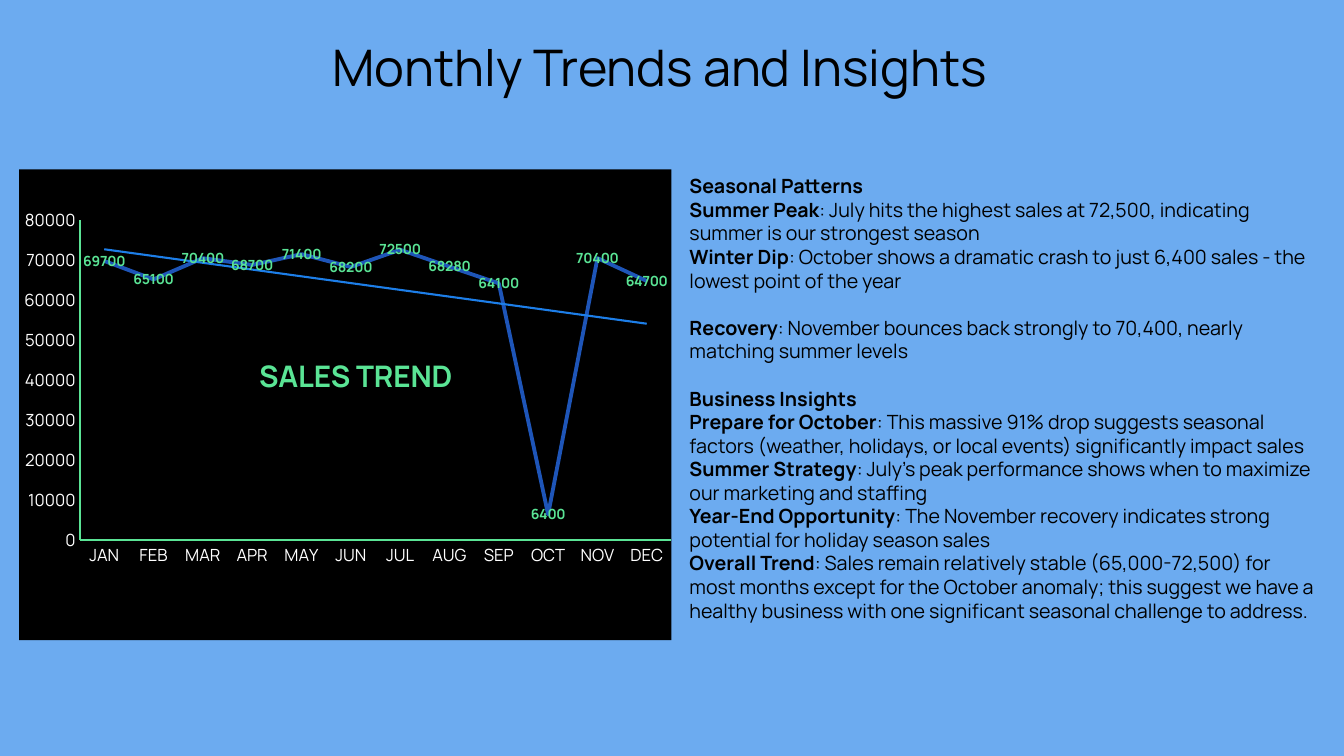
"""Build the monthly sales trends slide."""
from lxml import etree
from pptx import Presentation
from pptx.chart.data import CategoryChartData
from pptx.dml.color import RGBColor
from pptx.enum.chart import XL_CHART_TYPE as ChartType, XL_LABEL_POSITION as LabelPosition, XL_TICK_MARK as TickMark
from pptx.enum.text import MSO_ANCHOR as Anchor, PP_ALIGN as Align
from pptx.oxml import parse_xml
from pptx.oxml.ns import nsdecls, qn
from pptx.util import Inches, Pt

TITLE = "Monthly Trends and Insights"
CHART_TITLE = "SALES TREND"
SALES = {
    "JAN": 69700, "FEB": 65100, "MAR": 70400, "APR": 68700, "MAY": 71400, "JUN": 68200,
    "JUL": 72500, "AUG": 68280, "SEP": 64100, "OCT": 6400, "NOV": 70400, "DEC": 64700,
}
INSIGHT_GROUPS = [
    [
        ("Seasonal Patterns", ""),
        ("Summer Peak", ": July hits the highest sales at 72,500, indicating summer is our strongest season"),
        ("Winter Dip", ": October shows a dramatic crash to just 6,400 sales - the lowest point of the year"),
    ],
    [
        ("Recovery", ": November bounces back strongly to 70,400, nearly matching summer levels"),
    ],
    [
        ("Business Insights", ""),
        ("Prepare for October", ": This massive 91% drop suggests seasonal factors (weather, holidays, or local events) "
         "significantly impact sales"),
        ("Summer Strategy", ": July's peak performance shows when to maximize our marketing and staffing"),
        ("Year-End Opportunity", ": The November recovery indicates strong potential for holiday season sales"),
        ("Overall Trend", ": Sales remain relatively stable (65,000-72,500) for most months except for the October "
         "anomaly; this suggest we have a healthy business with one significant seasonal challenge to address."),
    ],
]
COLORS = {"background": "6CABF0", "ink": "000000", "panel": "000000", "axis_text": "FFFFFF",
          "accent": "5AE495", "sales": "1E55B8", "trend": "1D7EE8"}
FONT = "Manrope"
WIDTH, HEIGHT = 13.33, 7.5
TITLE_BOX = (1.14, 0.14, 10.81, 1.04)
CHART_BOX = (0.19, 1.68, 6.48, 4.67)
INSIGHTS_BOX = (6.74, 1.68, 6.4, 5.28)
PLOT_INCHES = {"x": 0.6, "y": 0.5, "w": 5.88, "h": 3.18}
CHART_TITLE_INCHES = {"x": 2.33, "y": 1.76}
GROUP_GAP = 17


def color(name):
    return RGBColor.from_string(COLORS[name])


def style(font, size, name, bold=False):
    font.name, font.size, font.bold = FONT, Pt(size), bold
    font.color.rgb = color(name)


def add_text(slide, box, paragraphs, size, align=Align.LEFT, anchor=Anchor.TOP, margin=None):
    """Add paragraphs given as (space before, [(text, bold), ...])."""
    frame = slide.shapes.add_textbox(*map(Inches, box)).text_frame
    frame.word_wrap, frame.vertical_anchor = True, anchor
    if margin is not None:
        frame.margin_left = frame.margin_right = frame.margin_top = frame.margin_bottom = Inches(margin)
    for index, (gap, pieces) in enumerate(paragraphs):
        paragraph = frame.add_paragraph() if index else frame.paragraphs[0]
        paragraph.alignment = align
        if gap:
            paragraph.space_before = Pt(gap)
        for text, bold in pieces:
            if text:
                run = paragraph.add_run()
                run.text = text
                style(run.font, size, "ink", bold)


def layout_xml(lengths, inner=False):
    chart_width, chart_height = CHART_BOX[2:]
    target = '<c:layoutTarget val="inner"/>' if inner else ""
    modes = "".join(f'<c:{key}Mode val="edge"/>' for key in lengths if key in "xy")
    values = "".join(f'<c:{key} val="{length / (chart_width if key in "xw" else chart_height):.4f}"/>'
                     for key, length in lengths.items())
    return parse_xml(f'<c:layout {nsdecls("c")}><c:manualLayout>{target}{modes}{values}</c:manualLayout></c:layout>')


def set_layout(parent, layout, position):
    for old in parent.findall(qn("c:layout")):
        parent.remove(old)
    parent.insert(position, layout)


def style_axis(axis):
    axis.has_major_gridlines = False
    axis.major_tick_mark = axis.minor_tick_mark = TickMark.NONE
    style(axis.tick_labels.font, 12, "axis_text")
    axis.format.line.color.rgb = color("accent")
    axis.format.line.width = Pt(1.5)


def add_trendline(series):
    trendline = parse_xml(
        f'<c:trendline {nsdecls("c", "a")}><c:spPr><a:ln w="{Pt(1.5)}"><a:solidFill>'
        f'<a:srgbClr val="{COLORS["trend"]}"/></a:solidFill></a:ln></c:spPr>'
        '<c:trendlineType val="linear"/><c:dispRSqr val="0"/><c:dispEq val="0"/></c:trendline>')
    series._element.find(qn("c:cat")).addprevious(trendline)


def add_chart_title(chart):
    chart.has_title = True
    frame = chart.chart_title.text_frame
    frame.text = CHART_TITLE
    style(frame.paragraphs[0].runs[0].font, 21.2, "accent", True)
    element = chart.chart_title._element
    set_layout(element, layout_xml(CHART_TITLE_INCHES), 1)
    for overlay in element.findall(qn("c:overlay")):
        element.remove(overlay)
    etree.SubElement(element, qn("c:overlay")).set("val", "1")


def add_sales_chart(slide):
    data = CategoryChartData(number_format="General")
    data.categories = list(SALES)
    data.add_series("Series 1", list(SALES.values()))
    chart = slide.shapes.add_chart(ChartType.LINE, *map(Inches, CHART_BOX), data).chart
    style(chart.font, 10, "axis_text")
    chart.has_legend = False
    add_chart_title(chart)
    set_layout(chart._chartSpace.chart.plotArea, layout_xml(PLOT_INCHES, inner=True), 0)

    for axis in (chart.category_axis, chart.value_axis):
        style_axis(axis)
    chart.value_axis.minimum_scale, chart.value_axis.maximum_scale = 0, 80000
    chart.value_axis.major_unit = 10000

    plot = chart.plots[0]
    plot.vary_by_categories = False
    series = plot.series[0]
    series.smooth = False
    series.format.line.color.rgb = color("sales")
    series.format.line.width = Pt(2.75)
    labels = series.data_labels
    labels.show_value, labels.position = True, LabelPosition.CENTER
    style(labels.font, 10, "accent", True)
    add_trendline(series)

    panel = parse_xml(f'<c:spPr {nsdecls("c", "a")}><a:solidFill><a:srgbClr val="{COLORS["panel"]}"/>'
                      '</a:solidFill><a:ln><a:noFill/></a:ln></c:spPr>')
    chart._chartSpace.chart.addnext(panel)


def main():
    presentation = Presentation()
    presentation.slide_width, presentation.slide_height = Inches(WIDTH), Inches(HEIGHT)
    slide = presentation.slides.add_slide(presentation.slide_layouts[6])
    slide.background.fill.solid()
    slide.background.fill.fore_color.rgb = color("background")
    add_text(slide, TITLE_BOX, [(0, [(TITLE, False)])], 36, align=Align.CENTER, anchor=Anchor.MIDDLE, margin=0)
    add_sales_chart(slide)
    insights = [(GROUP_GAP if group and not item else 0, [(heading, True), (detail, False)])
                for group, items in enumerate(INSIGHT_GROUPS)
                for item, (heading, detail) in enumerate(items)]
    add_text(slide, INSIGHTS_BOX, insights, 14)
    presentation.save("out.pptx")


if __name__ == "__main__":
    main()
